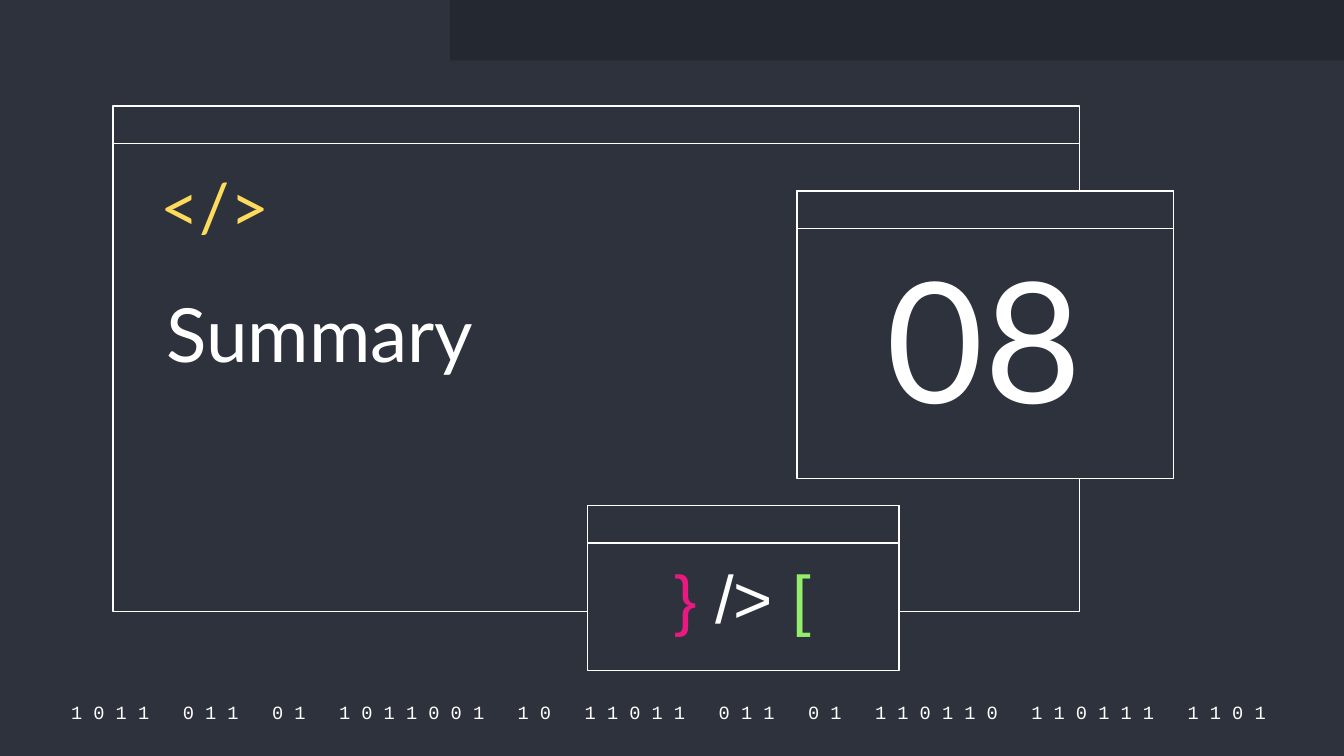
from pptx import Presentation
from pptx.dml.color import RGBColor
from pptx.enum.shapes import MSO_SHAPE
from pptx.enum.text import MSO_ANCHOR, PP_ALIGN
from pptx.util import Inches, Pt

COLORS = {
    "background": "2D323C",
    "band": "242830",
    "white": "FFFFFF",
    "yellow": "FFDB5D",
    "pink": "E81981",
    "green": "94EE6B",
}

# Content
BINARY_WORDS = ["1011", "011", "01", "1011001", "10", "11011",
                "011", "01", "110110", "110111", "1101"]
BINARY_BOX = (0.38, 5.2, 9.27, 0.2)
WORD_GAP_SPACING = 1200  # hundredths of a point added to the gap between words

TOP_BAND = (3.35, 0, 6.65, 0.45)
TITLE_BAR_HEIGHT = 0.28
WINDOWS = [  # left, top, width, height
    (0.84, 0.79, 7.19, 3.76),
    (4.37, 3.76, 2.32, 1.23),
    (5.93, 1.42, 2.8, 2.14),
]

LABELS = [  # box, (text, color) pieces, font, size, alignment, anchor, line spacing
    ((1.14, 2.04, 4.31, 0.9), [("Summary", "white")],
     "Lato", 40, PP_ALIGN.LEFT, MSO_ANCHOR.TOP, None),
    ((6.11, 1.7, 2.43, 1.65), [("08", "white")],
     "Lato", 90, PP_ALIGN.CENTER, MSO_ANCHOR.BOTTOM, None),
    ((0.92, 1.2, 1.18, 0.62), [("</>", "yellow")],
     "Lato", 36, PP_ALIGN.RIGHT, MSO_ANCHOR.TOP, 0.9),
    ((4.86, 4.11, 1.33, 0.82), [("}", "pink"), (" /> ", "white"), ("[", "green")],
     "Arial", 36, PP_ALIGN.CENTER, MSO_ANCHOR.TOP, 0.9),
]


def rgb(name):
    return RGBColor.from_string(COLORS[name])


def add_rectangle(slide, box, fill, line=None):
    rectangle = slide.shapes.add_shape(MSO_SHAPE.RECTANGLE, *map(Inches, box))
    rectangle.shadow.inherit = False
    rectangle.fill.solid()
    rectangle.fill.fore_color.rgb = rgb(fill)
    if line:
        rectangle.line.color.rgb = rgb(line)
        rectangle.line.width = Pt(0.75)
    else:
        rectangle.line.fill.background()


def add_label(slide, box, pieces, font, size, alignment, anchor, line_spacing):
    frame = slide.shapes.add_textbox(*map(Inches, box)).text_frame
    frame.word_wrap = True
    frame.vertical_anchor = anchor
    frame.margin_left = frame.margin_right = Inches(0.1)
    frame.margin_top = frame.margin_bottom = Inches(0.1)
    paragraph = frame.paragraphs[0]
    paragraph.alignment = alignment
    paragraph.line_spacing = line_spacing
    for text, color in pieces:
        run = paragraph.add_run()
        run.text = text
        run.font.name = font
        run.font.size = Pt(size)
        run.font.color.rgb = rgb(color)
    return paragraph


def main():
    # Widescreen 16:9 slide
    presentation = Presentation()
    presentation.slide_width = Inches(10)
    presentation.slide_height = Inches(10) * 9 // 16
    slide = presentation.slides.add_slide(presentation.slide_layouts[6])
    slide.background.fill.solid()
    slide.background.fill.fore_color.rgb = rgb("background")

    # Binary footer: spaced digits, with widened spaces between words
    binary_pieces = []
    for word in BINARY_WORDS:
        binary_pieces += [(" ".join(word), "white"), (" ", "white")]
    binary = add_label(slide, BINARY_BOX, binary_pieces, "Courier New", 10,
                       PP_ALIGN.CENTER, MSO_ANCHOR.MIDDLE, None)
    for gap in binary.runs[1:-1:2]:
        gap._r.get_or_add_rPr().set("spc", str(WORD_GAP_SPACING))

    # Top band and code windows, each with its title bar
    add_rectangle(slide, TOP_BAND, "band")
    for left, top, width, height in WINDOWS:
        for part_height in (height, TITLE_BAR_HEIGHT):
            add_rectangle(slide, (left, top, width, part_height),
                          "background", "white")

    # Section title, number and code symbols
    for label in LABELS:
        add_label(slide, *label)

    presentation.save("out.pptx")


if __name__ == "__main__":
    main()
